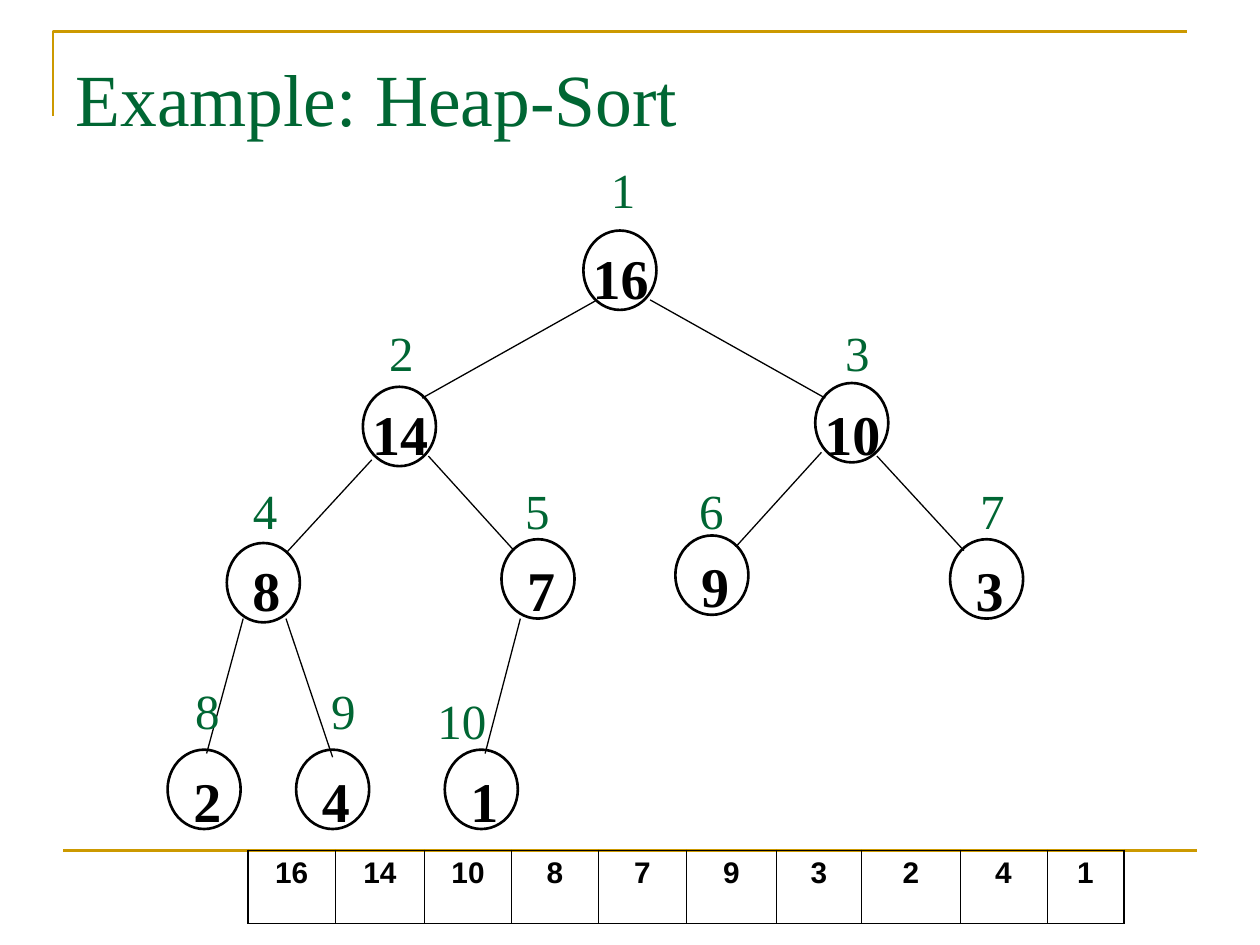
from lxml import etree
from pptx import Presentation
from pptx.dml.color import RGBColor
from pptx.enum.shapes import MSO_CONNECTOR, MSO_SHAPE
from pptx.enum.text import MSO_ANCHOR, MSO_AUTO_SIZE, PP_ALIGN
from pptx.oxml.ns import qn
from pptx.util import Pt

LINE = MSO_CONNECTOR.STRAIGHT
OVAL = MSO_SHAPE.OVAL
TOP = MSO_ANCHOR.TOP
FIXED = MSO_AUTO_SIZE.NONE
LEFT, CENTER = PP_ALIGN.LEFT, PP_ALIGN.CENTER

# Content, lengths in px (100 to the inch)
PX = 9144
COLORS = {"gold": "CC9900", "green": "006633", "black": "000000"}
SERIF, SANS = "Times New Roman", "Arial"
TITLE = "Example: Heap-Sort"

# Heap order: value, oval left and top, value text top, index left and top
NODES = [
    (16, 463, 183, 183, 475, 117),
    (14, 288, 307, 307, 299, 246),
    (10, 647, 304, 307, 661, 246),
    (8, 180, 431, 431, 191, 371),
    (7, 398, 428, 431, 407, 371),
    (9, 536, 425, 428, 545, 371),
    (3, 754, 428, 431, 768, 371),
    (2, 133, 595, 598, 145, 530),
    (4, 235, 595, 598, 253, 530),
    (1, 353, 595, 598, 337, 538),
]
EDGES = [
    (474, 238, 335, 316), (516, 238, 655, 316),
    (295, 365, 227, 439), (340, 362, 408, 437),
    (652, 359, 584, 434), (696, 362, 765, 437),
    (193, 491, 164, 598), (227, 491, 264, 601),
    (413, 491, 385, 598),
]
COLS = [69, 71, 69, 69, 70, 71, 68, 78, 69, 61]
FRAME = [(42, 92), (42, 25), (942, 25)]
RULE = (50, 675, 950, 675)


def emu(*nums):
    return [n * PX for n in nums]


def rgb(name):
    return RGBColor.from_string(COLORS[name])


def stroke(shape, color, width):
    shape.line.color.rgb = rgb(color)
    shape.line.width = Pt(width)


def write(frame, text, size, color, font=SERIF, bold=False, align=CENTER):
    frame.text = str(text)
    para = frame.paragraphs[0]
    para.alignment = align
    face = para.runs[0].font
    face.name, face.size, face.bold = font, Pt(size), bold
    face.color.rgb = rgb(color)


def pad(frame, top):
    frame.auto_size = FIXED
    frame.vertical_anchor = TOP
    frame.margin_left = frame.margin_right = 10 * PX
    frame.margin_top, frame.margin_bottom = emu(top, 5)


def link(shapes, ends, color, width):
    line = shapes.add_connector(LINE, *emu(*ends))
    stroke(line, color, width)
    etree.SubElement(line._element.spPr, qn("a:effectLst"))


def label(shapes, box, text, size, color, bold, wrap):
    frame = shapes.add_textbox(*emu(*box)).text_frame
    pad(frame, 10)
    frame.word_wrap = wrap
    write(frame, text, size, color, bold=bold)


def edge(cell, side, width):
    line = etree.SubElement(cell._tc.get_or_add_tcPr(), qn("a:ln" + side),
                            w=str(int(Pt(width))))
    fill = etree.SubElement(line, qn("a:solidFill"))
    etree.SubElement(fill, qn("a:srgbClr"), val=COLORS["black"])


deck = Presentation()
deck.slide_width, deck.slide_height = emu(1000, 750)
slide = deck.slides.add_slide(deck.slide_layouts[5])
shapes = slide.shapes

# Gold frame and rule
path = shapes.build_freeform(*FRAME[0], scale=PX)
path.add_line_segments(FRAME[1:], close=False)
frame = path.convert_to_shape()
frame.shadow.inherit = False
frame.fill.background()
stroke(frame, "gold", 1.5)
link(shapes, RULE, "gold", 1.5)

# Title
title = shapes.title
title.left, title.top, title.width, title.height = emu(50, 30, 900, 125)
pad(title.text_frame, 12)
write(title.text_frame, TITLE, 42, "green", align=LEFT)

# Tree: edges, ovals, values and indexes
for ends in EDGES:
    link(shapes, ends, "black", 0.75)

for num, (value, x, y, top, left, high) in enumerate(NODES, 1):
    oval = shapes.add_shape(OVAL, *emu(x, y, 58, 63))
    oval.shadow.inherit = False
    oval.fill.background()
    stroke(oval, "black", 1.5)
    shift = 10 if value > 9 else 8
    label(shapes, (x - shift, top, 79, 64), value, 32, "black", True, True)
    wide = 59 if num > 9 else 39
    label(shapes, (left, high, wide, 57), num, 28, "green", False, False)

# Array table
grid = shapes.add_table(1, len(COLS), *emu(197, 675, sum(COLS), 58)).table
grid.first_row = grid.horz_banding = False
grid.rows[0].height = 58 * PX
last = len(COLS) - 1
for i, (wide, node) in enumerate(zip(COLS, NODES)):
    grid.columns[i].width = wide * PX
    cell = grid.cell(0, i)
    cell.margin_left = cell.margin_right = 10 * PX
    cell.margin_top = cell.margin_bottom = 5 * PX
    write(cell.text_frame, node[0], 17, "black", SANS, True)
    edge(cell, "L", 1.08 if i == 0 else 0.45)
    edge(cell, "R", 1.08 if i == last else 0.45)
    edge(cell, "T", 1.08)
    edge(cell, "B", 1.08)
    cell.fill.background()

deck.save("out.pptx")
